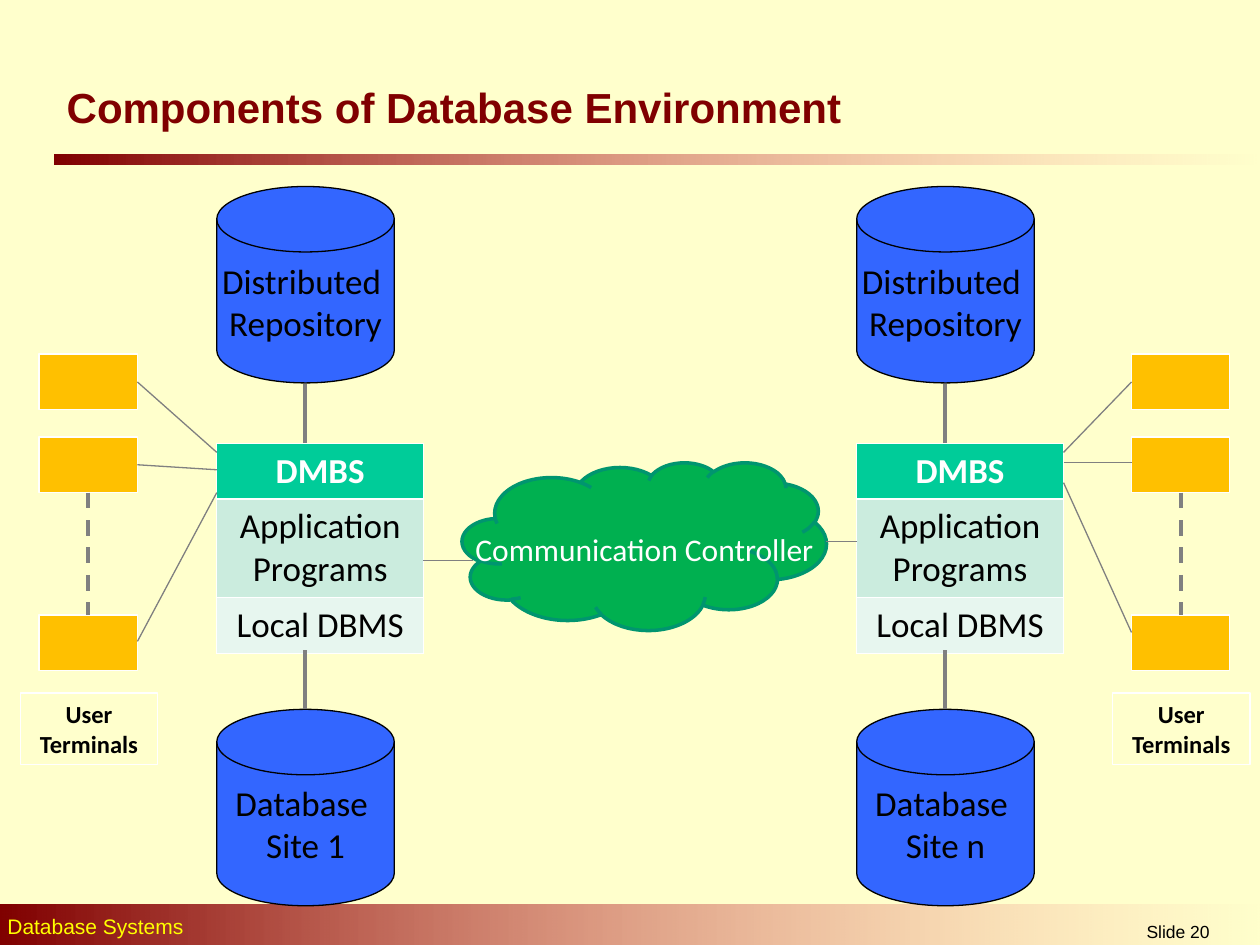
from lxml.etree import SubElement
from pptx import Presentation
from pptx.dml.color import RGBColor
from pptx.enum.dml import MSO_LINE
from pptx.enum.shapes import MSO_CONNECTOR, MSO_SHAPE as SHP
from pptx.enum.text import MSO_ANCHOR as ANC, MSO_AUTO_SIZE, PP_ALIGN as AL
from pptx.oxml.ns import qn
from pptx.util import Cm, Pt

COLORS = {
    "paper": "FFFFCC", "maroon": "800000", "pink": "FF8585",
    "yellow": "FFFF00", "black": "000000", "white": "FFFFFF",
    "blue": "3366FF", "amber": "FFC000", "gray": "808080",
    "green": "00B050", "teal": "00956F",
    "head": "00CC99", "row1": "CBECDE", "row2": "E7F6EF",
}


def rgb(name):
    return RGBColor.from_string(COLORS[name])


class Deck:
    """Holds the style and the current slide."""

    def __init__(self):
        self.prs = Presentation()
        self.prs.slide_width, self.prs.slide_height = Cm(25.4), Cm(19.05)
        self.slide = self.prs.slides.add_slide(self.prs.slide_layouts[5])
        fill = self.slide.background.fill
        fill.solid()
        fill.fore_color.rgb = rgb("paper")

    def set_text(self, tf, lines, size, color, font="Calibri", bold=False,
                 align=AL.CENTER, anchor=ANC.MIDDLE, wrap=True):
        frame = {"word_wrap": wrap, "vertical_anchor": anchor,
                 "auto_size": MSO_AUTO_SIZE.NONE}
        for key, value in frame.items():
            setattr(tf, key, value)
        self.fill_lines(tf, lines, size, color, font, bold, align)

    def fill_lines(self, tf, lines, size, color, font, bold, align):
        fmt = {"name": font, "size": Pt(size), "bold": bold}
        for i, line in enumerate(lines):
            p = tf.add_paragraph() if i else tf.paragraphs[0]
            p.alignment = align
            r = p.add_run()
            r.text = line
            for key, value in fmt.items():
                setattr(r.font, key, value)
            r.font.color.rgb = rgb(color)

    def title(self, box, text):
        s = self.slide.shapes.title
        for key, value in zip(("left", "top", "width", "height"), box):
            setattr(s, key, Cm(value))
        self.set_text(s.text_frame, [text], 24, "maroon", "Arial", True,
                      AL.LEFT, ANC.TOP)

    def text(self, box, text, **fmt):
        s = self.slide.shapes.add_textbox(*map(Cm, box))
        self.set_text(s.text_frame, [text], font="Arial", anchor=ANC.TOP,
                      **fmt)

    def shape(self, kind, box, fill=None, line=None, width=0.75):
        s = self.slide.shapes.add_shape(kind, *map(Cm, box))
        s.shadow.inherit = False
        if fill:
            s.fill.solid()
            s.fill.fore_color.rgb = rgb(fill)
        else:
            s.fill.background()
        if line:
            s.line.color.rgb = rgb(line)
            s.line.width = Pt(width)
        else:
            s.line.fill.background()
        return s

    def band(self, box):
        s = self.shape(SHP.RECTANGLE, box)
        s.fill.gradient()
        s.fill.gradient_angle = 0
        for stop, name in zip(s.fill.gradient_stops, ("maroon", "pink")):
            stop.color.rgb = rgb(name)
        # Fade the last stop out completely
        last = list(s._element.iter(qn("a:gs")))[-1]
        SubElement(last[0], qn("a:alpha"), val="0")

    def line(self, x1, y1, x2, y2, width=0.75, dashed=False):
        c = self.slide.shapes.add_connector(
            MSO_CONNECTOR.STRAIGHT, Cm(x1), Cm(y1), Cm(x2), Cm(y2))
        c.line.color.rgb = rgb("gray")
        c.line.width = Pt(width)
        if dashed:
            c.line.dash_style = MSO_LINE.DASH
        SubElement(c._element.spPr, qn("a:effectLst"))

    def disk(self, x, y, lines):
        s = self.shape(SHP.FLOWCHART_MAGNETIC_DISK, (x, y, 3.58, 3.96),
                       "blue", "black")
        self.set_text(s.text_frame, lines, 20, "black", wrap=False)

    def borders(self, cell, top, bottom):
        tc_pr = cell._tc.get_or_add_tcPr()
        widths = {"lnL": 0.45, "lnR": 0.45, "lnT": top, "lnB": bottom}
        for tag, width in widths.items():
            ln = SubElement(tc_pr, qn(f"a:{tag}"), w=str(Pt(width)))
            solid = SubElement(ln, qn("a:solidFill"))
            SubElement(solid, qn("a:srgbClr"), val=COLORS["white"])

    def stack(self, x, y):
        rows = [("DMBS", 1.09, "head", "white", 0.45, 1.47),
                ("Application Programs", 1.96, "row1", "black", 1.47, 0.45),
                ("Local DBMS", 1.09, "row2", "black", 0.45, 0.45)]
        table = self.slide.shapes.add_table(
            len(rows), 1, Cm(x), Cm(y), Cm(4.17), Cm(4.14)).table
        for i, (text, height, fill, color, top, bottom) in enumerate(rows):
            table.rows[i].height = Cm(height)
            cell = table.cell(i, 0)
            self.borders(cell, top, bottom)
            cell.fill.solid()
            cell.fill.fore_color.rgb = rgb(fill)
            self.fill_lines(cell.text_frame, [text], 20, color, "Calibri",
                            i == 0, AL.CENTER)

    def terminals(self, x):
        for y in (7.14, 8.81, 12.4):
            self.shape(SHP.RECTANGLE, (x, y, 1.98, 1.12), "amber", "white")
        self.line(x + 0.99, 9.93, x + 0.99, 12.4, 2.25, dashed=True)
        s = self.shape(SHP.RECTANGLE, (x - 0.38, 13.97, 2.77, 1.45),
                       line="white")
        self.set_text(s.text_frame, ["User Terminals"], 14, "black",
                      bold=True, anchor=ANC.TOP)

    def cloud(self, box, text):
        s = self.shape(SHP.CLOUD, box, "green", "teal", 2)
        tf = s.text_frame
        # Bring the text to the middle of the outline
        tf.margin_left, tf.margin_top = Cm(0.78), Cm(0.39)
        self.set_text(tf, [text], 18, "white", wrap=False)


def main():
    d = Deck()

    # Title, bands and footer
    d.title((1.09, 1.52, 17.4, 1.27), "Components of Database Environment")
    d.band((1.09, 3.12, 24.31, 0.2))
    d.band((0, 18.24, 25.48, 0.89))
    d.text((-0.1, 18.29, 16.4, 0.76), "Database Systems", size=12,
           color="yellow", align=AL.LEFT)
    d.text((21.11, 18.44, 5.28, 0.61), "Slide 20", size=10, color="black")

    # Sites: repository, software stack, database and terminals
    sites = [(4.37, 0.79, "Site 1"), (17.27, 22.81, "Site n")]
    for x, terminal_x, name in sites:
        d.disk(x, 3.76, ["Distributed ", "Repository"])
        d.stack(x, 8.94)
        d.disk(x, 14.3, ["Database ", name])
        for top, bottom in ((7.75, 8.94), (13.11, 14.3)):
            d.line(x + 1.78, top, x + 1.78, bottom, 2.25)
        d.terminals(terminal_x)

    # Terminal links
    for y1, y2 in ((7.7, 9.12), (9.37, 9.47), (12.93, 9.93)):
        d.line(2.77, y1, 4.37, y2)
    for y1, y2 in ((9.12, 7.7), (9.32, 9.32), (9.73, 12.75)):
        d.line(21.44, y1, 22.81, y2)

    # Network between the sites
    d.cloud((9.32, 9.32, 7.34, 3.38), "Communication Controller")
    d.line(16.66, 10.92, 17.27, 10.92)
    d.line(8.53, 11.3, 9.53, 11.3)

    d.prs.save("out.pptx")


if __name__ == "__main__":
    main()
